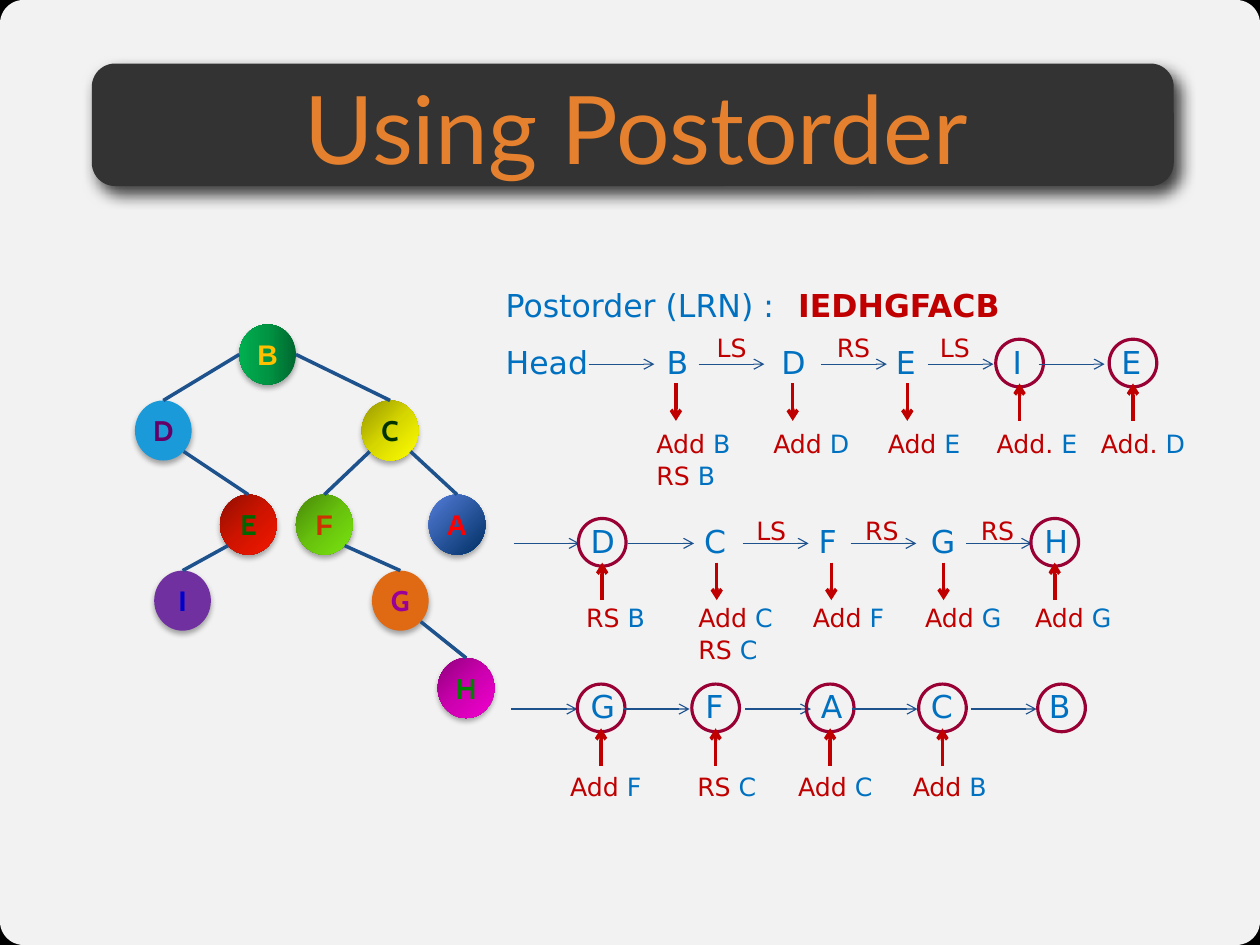
from typing import NamedTuple

from lxml.etree import SubElement
from pptx import Presentation
from pptx.dml.color import RGBColor
from pptx.enum.shapes import MSO_CONNECTOR, MSO_SHAPE
from pptx.enum.text import MSO_ANCHOR, PP_ALIGN
from pptx.oxml.ns import qn
from pptx.util import Inches, Pt

BLUE, RED, NAVY, MAROON = "0070C0", "C00000", "1D528D", "990033"
NODE_WIDTH, NODE_HEIGHT = 0.5, 0.53
RING, LINK, POINTER = 0.42, 0.58, 0.33


class Shadow(NamedTuple):
    alpha: int
    blur: float
    distance: float
    angle: int


class Node(NamedTuple):
    letter: str
    left: float
    top: float
    ink: str
    font: str
    fills: tuple[str, ...]
    parent: str = ""
    angle: int = 45


class Step(NamedTuple):
    letter: str
    left: float
    center: float
    link_left: float
    label: str = ""
    label_left: float = 0
    ringed: bool = False
    notes: tuple[str, ...] = ()
    note_left: float = 0


class Row(NamedTuple):
    top: float
    label_top: float
    note_top: float
    steps: tuple[Step, ...]


NODES = (
    Node("A", 3.78, 4.36, "FF0000", "Arial", ("547DD8", "003065"), "C"),
    Node("B", 2.11, 2.86, "FFC000", "Arial", ("00682F", "009443", "00B050"), angle=180),
    Node("H", 3.86, 5.8, "008000", "Cabin", ("8F007B", "CC00AF", "F200CF"), "G"),
    Node("C", 3.19, 3.53, "003300", "Cabin", ("979700", "D7D700", "FFFF00"), "B"),
    Node("D", 1.19, 3.53, "660066", "Cabin", ("1B9AD9",), "B"),
    Node("E", 1.94, 4.36, "006600", "Cabin", ("910E00", "CE1400", "F41700"), "D"),
    Node("F", 2.61, 4.36, "CC3300", "Arial", ("488809", "67C10D", "7AE50F"), "C"),
    Node("G", 3.28, 5.03, "990099", "Cabin", ("DF6A13",), "F"),
    Node("I", 1.36, 5.03, "0000CC", "Arial", ("7030A0",), "E"),
)

ROWS = (
    Row(2.97, 2.88, 3.73, (
        Step("B", 5.78, 5.96, 5.19, notes=("Add B", "RS B"), note_left=5.69),
        Step("D", 6.79, 6.99, 6.16, "LS", 6.22, notes=("Add D",), note_left=6.72),
        Step("E", 7.8, 8, 7.24, "RS", 7.28, notes=("Add E",), note_left=7.73),
        Step("I", 8.83, 8.99, 8.18, "LS", 8.19, True, ("Add. E",), 8.69),
        Step("E", 9.79, 9.99, 9.16, "", 0, True, ("Add. D",), 9.61),
    )),
    Row(4.55, 4.49, 5.26, (
        Step("D", 5.11, 5.31, 4.53, "", 0, True, ("RS B",), 5.07),
        Step("C", 6.11, 6.32, 5.54, notes=("Add C", "RS C"), note_left=6.06),
        Step("F", 7.12, 7.33, 6.55, "LS", 6.57, notes=("Add F",), note_left=7.07),
        Step("G", 8.11, 8.32, 7.5, "RS", 7.53, notes=("Add G",), note_left=8.06),
        Step("H", 9.11, 9.3, 8.52, "RS", 8.55, True, ("Add G",), 9.03),
    )),
    Row(6.01, 6.01, 6.75, (
        Step("G", 5.11, 5.3, 4.51, "", 0, True, ("Add F",), 4.93),
        Step("F", 6.12, 6.31, 5.5, "", 0, True, ("RS C",), 6.05),
        Step("A", 7.14, 7.32, 6.57, "", 0, True, ("Add C",), 6.94),
        Step("C", 8.11, 8.31, 7.51, "", 0, True, ("Add B",), 7.95),
        Step("B", 9.15, 9.36, 8.56, "", 0, True),
    )),
)

deck = Presentation()
deck.slide_width, deck.slide_height = Inches(11.11), Inches(8.33)
page = deck.slides.add_slide(deck.slide_layouts[6])


def color(code: str) -> RGBColor:
    return RGBColor.from_string(code)


def add_span(para, text: str, *, size: float, ink: str, font: str, bold: bool = False) -> None:
    span = para.add_run()
    span.text = text
    span.font.size, span.font.name, span.font.bold = Pt(size), font, bold
    span.font.color.rgb = color(ink)


def center_text(shape, text: str, **style) -> None:
    frame = shape.text_frame
    frame.margin_left = frame.margin_right = frame.margin_top = frame.margin_bottom = 0
    frame.vertical_anchor = MSO_ANCHOR.MIDDLE
    frame.paragraphs[0].alignment = PP_ALIGN.CENTER
    add_span(frame.paragraphs[0], text, **style)


def add_text(left: float, top: float, width: float, *spans: tuple[str, str], size: float = 20,
             font: str = "DejaVu Sans", bold: bool = False) -> None:
    box = page.shapes.add_textbox(Inches(left), Inches(top), Inches(width), Inches(0.4))
    box.text_frame.word_wrap = True
    for text, ink in spans:
        add_span(box.text_frame.paragraphs[0], text, size=size, ink=ink, font=font, bold=bold)


def add_gradient(shape, fills: tuple[str, ...], angle: int) -> None:
    shape.fill.gradient()
    shape.fill.gradient_angle = 360 - angle
    stops = shape._element.spPr.find(".//" + qn("a:gsLst"))
    for stop in list(stops):
        stops.remove(stop)
    for index, code in enumerate(fills):
        stop = SubElement(stops, qn("a:gs"), pos=str(100000 * index // (len(fills) - 1)))
        SubElement(stop, qn("a:srgbClr"), val=code)


def add_shape(kind: MSO_SHAPE, left: float, top: float, width: float, height: float, *,
              fills: tuple[str, ...] = (), angle: int = 45, line: str = "",
              shadow: Shadow | None = None, corner: float | None = None):
    shape = page.shapes.add_shape(kind, Inches(left), Inches(top), Inches(width), Inches(height))
    if len(fills) > 1:
        add_gradient(shape, fills, angle)
    elif fills:
        shape.fill.solid()
        shape.fill.fore_color.rgb = color(fills[0])
    else:
        shape.fill.background()
    if line:
        shape.line.color.rgb, shape.line.width = color(line), Pt(2)
    else:
        shape.line.fill.background()
    if corner is not None:
        shape.adjustments[0] = corner
    shape.shadow.inherit = False
    if shadow:
        effects = shape._element.spPr.find(qn("a:effectLst"))
        outer = SubElement(effects, qn("a:outerShdw"), blurRad=str(Pt(shadow.blur)),
                           dist=str(Pt(shadow.distance)), dir=str(shadow.angle * 60000),
                           algn="ctr", rotWithShape="0")
        tint = SubElement(outer, qn("a:srgbClr"), val="000000")
        SubElement(tint, qn("a:alpha"), val=str(shadow.alpha * 1000))
    return shape


def add_line(start: tuple[float, float], end: tuple[float, float], ink: str, width: float,
             arrow: bool = False) -> None:
    line = page.shapes.add_connector(MSO_CONNECTOR.STRAIGHT, *map(Inches, start + end))
    line.line.color.rgb, line.line.width = color(ink), Pt(width)
    if arrow:
        SubElement(line.line._get_or_add_ln(), qn("a:tailEnd"), type="arrow")
    SubElement(line._element.spPr, qn("a:effectLst"))


def draw_edge(child: Node, parent: Node) -> None:
    side = 1 if child.left > parent.left else -1
    reach, drop = (0.18, 0.45) if parent.parent else (NODE_WIDTH / 2, NODE_HEIGHT / 2)
    start = (parent.left + NODE_WIDTH / 2 + side * reach, parent.top + drop)
    add_line(start, (child.left + NODE_WIDTH / 2, child.top), NAVY, 2.25)


def draw_step(step: Step, row: Row) -> None:
    add_text(step.left, row.top, RING, (step.letter, BLUE))
    level = row.top + 0.24
    add_line((step.link_left, level), (step.link_left + LINK, level), NAVY, 0.75, arrow=True)
    if step.label:
        add_text(step.label_left, row.label_top, 0.6, (step.label, RED), size=16)
    if step.ringed:
        add_shape(MSO_SHAPE.OVAL, step.center - RING / 2, row.top + 0.02, RING, RING, line=MAROON)
    if step.notes:
        ends = [(step.center, row.top + 0.41), (step.center, row.top + 0.41 + POINTER)]
        add_line(*(reversed(ends) if step.ringed else ends), RED, 2.25, arrow=True)
    for index, note in enumerate(step.notes):
        add_text(step.note_left, row.note_top + 0.28 * index, 1,
                 (note[:-1], RED), (note[-1], BLUE), size=16)


page.background.fill.solid()
page.background.fill.fore_color.rgb = color("000000")
add_shape(MSO_SHAPE.ROUNDED_RECTANGLE, 0, 0, 11.11, 8.33, fills=("F2F2F2",), corner=0.025)
add_shape(MSO_SHAPE.ROUNDED_RECTANGLE, 0.81, 0.56, 9.54, 1.08, fills=("333333",), corner=0.19,
          shadow=Shadow(75, 10, 6, 51))
title = page.shapes.add_textbox(Inches(0.86), Inches(0.62), Inches(9.5), Inches(1))
center_text(title, "Using Postorder", size=60, ink="E5812E", font="Lato")

for node in NODES:
    disc = add_shape(MSO_SHAPE.OVAL, node.left, node.top, NODE_WIDTH, NODE_HEIGHT,
                     fills=node.fills, angle=node.angle, shadow=Shadow(32, 3.5, 2.2, 90))
    center_text(disc, node.letter, size=18, ink=node.ink, font=node.font, bold=True)

tree = {node.letter: node for node in NODES}
for node in NODES:
    if node.parent:
        draw_edge(node, tree[node.parent])

add_text(4.36, 2.47, 2.75, ("Postorder (LRN) :", BLUE))
add_text(6.94, 2.47, 2.83, ("IEDHGFACB", RED), bold=True)
add_text(4.36, 2.97, 1, ("Head", BLUE))
for row in ROWS:
    for step in row.steps:
        draw_step(step, row)

deck.save("out.pptx")
